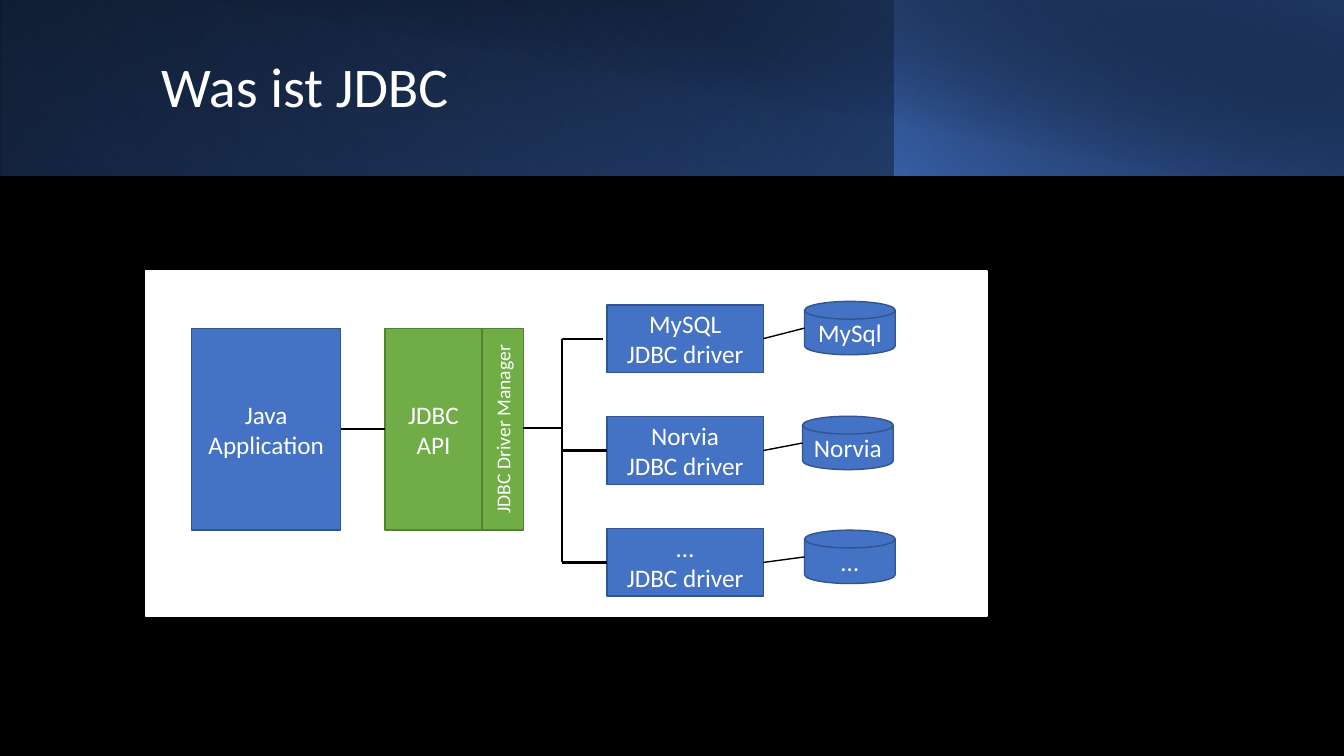
from pptx import Presentation
from pptx.dml.color import RGBColor
from pptx.enum.shapes import MSO_CONNECTOR, MSO_SHAPE as Shape
from pptx.enum.text import MSO_ANCHOR, PP_ALIGN
from pptx.oxml import parse_xml
from pptx.oxml.ns import nsdecls, qn
from pptx.util import Inches, Pt

COLORS = {
    "black": "000000",
    "white": "FFFFFF",
    "blue": "4472C4",
    "blue_edge": "325491",
    "mid_blue": "2F5597",
    "navy": "203864",
    "green": "70AD47",
    "green_edge": "538035",
}
FONT = "Calibri"
BANNER_HEIGHT = 1.74
DRIVER_LEFT, DRIVER_WIDTH, DRIVER_HEIGHT = 6.02, 1.55, 0.67
DISK_WIDTH, DISK_HEIGHT = 0.9, 0.53
BUS_X = 5.57
# driver label, database label, database left, database top, branch end
DATABASES = [
    ("MySQL", "MySql", 7.98, 2.99, 5.98),
    ("Norvia", "Norvia", 7.96, 4.13, DRIVER_LEFT),
    ("…", "…", 7.98, 5.26, DRIVER_LEFT),
]


def rgb(name):
    return RGBColor.from_string(COLORS[name])


def add_plain_shape(page, kind, left, top, width, height):
    shape = page.shapes.add_shape(
        kind, Inches(left), Inches(top), Inches(width), Inches(height))
    shape.shadow.inherit = False
    return shape


def add_gradient(page, left, width, height, angle, stops, flip=True, turn=0):
    """Add a banner layer; each stop is (position %, colour, opacity %)."""
    layer = add_plain_shape(page, Shape.RECTANGLE, left, 0, width, height)
    layer.rotation = turn
    layer.line.fill.background()
    marks = "".join(
        f'<a:gs pos="{position * 1000}"><a:srgbClr val="{COLORS[color]}">'
        f'<a:alpha val="{opacity * 1000}"/></a:srgbClr></a:gs>'
        for position, color, opacity in stops)
    gradient = parse_xml(
        f'<a:gradFill {nsdecls("a")} rotWithShape="1"><a:gsLst>{marks}</a:gsLst>'
        f'<a:lin ang="{angle * 60000}" scaled="0"/></a:gradFill>')
    properties = layer._element.spPr
    properties.find(qn("a:prstGeom")).addnext(gradient)
    if flip:
        properties.find(qn("a:xfrm")).set("flipH", "1")


def set_text(box, text, size, align):
    frame = box.text_frame
    frame.word_wrap = True
    frame.vertical_anchor = MSO_ANCHOR.MIDDLE
    para = frame.paragraphs[0]
    para.text = text
    para.alignment = align
    para.font.name = FONT
    para.font.size = Pt(size)
    para.font.color.rgb = rgb("white")
    return para


def add_node(page, kind, left, top, width, height, fill, edge, text="", size=18):
    node = add_plain_shape(page, kind, left, top, width, height)
    node.fill.solid()
    node.fill.fore_color.rgb = rgb(fill)
    node.line.color.rgb = rgb(edge)
    node.line.width = Pt(1)
    if text:
        set_text(node, text, size, PP_ALIGN.CENTER)
    return node


def add_line(page, start, end, width=1.5):
    line = page.shapes.add_connector(
        MSO_CONNECTOR.STRAIGHT, *(Inches(value) for value in (*start, *end)))
    line.line.color.rgb = rgb("black")
    line.line.width = Pt(width)
    line._element.spPr.append(parse_xml(f'<a:effectLst {nsdecls("a")}/>'))


def add_banner(page):
    add_gradient(page, 0, 13.33, BANNER_HEIGHT, 140,
                 [(0, "black", 100), (100, "mid_blue", 100)])
    add_gradient(page, 0, 8.88, BANNER_HEIGHT, 230,
                 [(20, "blue", 0), (100, "navy", 55)], turn=180)
    add_gradient(page, 8.87, 4.46, BANNER_HEIGHT, 220,
                 [(0, "blue", 66), (100, "black", 30)])
    add_gradient(page, 0.5, 12.83, 1.75, 280,
                 [(50, "black", 0), (99, "navy", 52)], flip=False)
    title = page.shapes.add_textbox(
        Inches(1.5), Inches(0.32), Inches(10.82), Inches(1.13))
    set_text(title, "Was ist JDBC", 40, PP_ALIGN.LEFT).line_spacing = 0.9


def add_databases(page):
    for row, (driver, database, left, top, branch_end) in enumerate(DATABASES):
        middle = 3.36 + row * 1.11
        add_node(page, Shape.FLOWCHART_MAGNETIC_DISK, left, top, DISK_WIDTH,
                 DISK_HEIGHT, "blue", "blue_edge", database)
        add_node(page, Shape.RECTANGLE, DRIVER_LEFT, middle - DRIVER_HEIGHT / 2,
                 DRIVER_WIDTH, DRIVER_HEIGHT, "blue", "blue_edge",
                 f"{driver}\nJDBC driver")
        add_line(page, (DRIVER_LEFT + DRIVER_WIDTH, middle),
                 (left, top + DISK_HEIGHT / 2), 1)
        add_line(page, (BUS_X, middle), (branch_end, middle))
    add_line(page, (BUS_X, 3.36), (BUS_X, 5.58))


def add_application(page):
    top, height = 3.26, 2
    add_node(page, Shape.RECTANGLE, 1.9, top, 1.48, height,
             "blue", "blue_edge", "Java Application")
    add_node(page, Shape.RECTANGLE, 3.82, top, 0.96, height,
             "green", "green_edge", "JDBC API")
    manager = add_node(page, Shape.RECTANGLE, 4.78, top, 0.41, height,
                       "green", "green_edge", "JDBC Driver Manager", 14)
    manager.text_frame._txBody.bodyPr.set("vert", "vert270")
    add_line(page, (3.38, 4.26), (3.82, 4.26))
    add_line(page, (5.19, 4.25), (BUS_X, 4.25))


def main():
    deck = Presentation()
    deck.slide_width, deck.slide_height = Inches(13.33), Inches(7.5)
    page = deck.slides.add_slide(deck.slide_layouts[6])
    page.background.fill.solid()
    page.background.fill.fore_color.rgb = rgb("black")
    add_banner(page)
    add_node(page, Shape.RECTANGLE, 1.44, 2.69, 8.35, 3.42, "white", "white")
    add_databases(page)
    add_application(page)
    deck.save("out.pptx")


if __name__ == "__main__":
    main()
